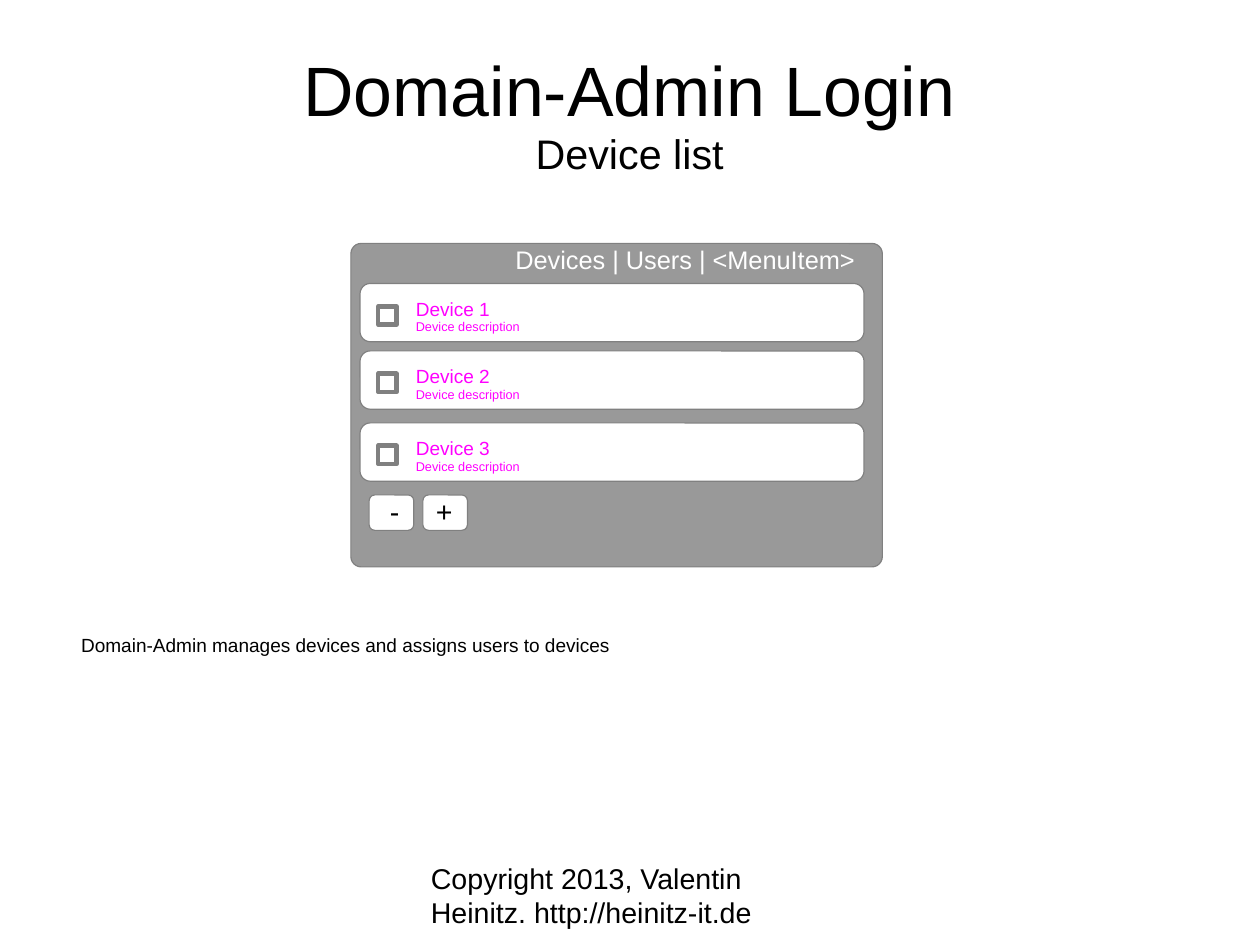
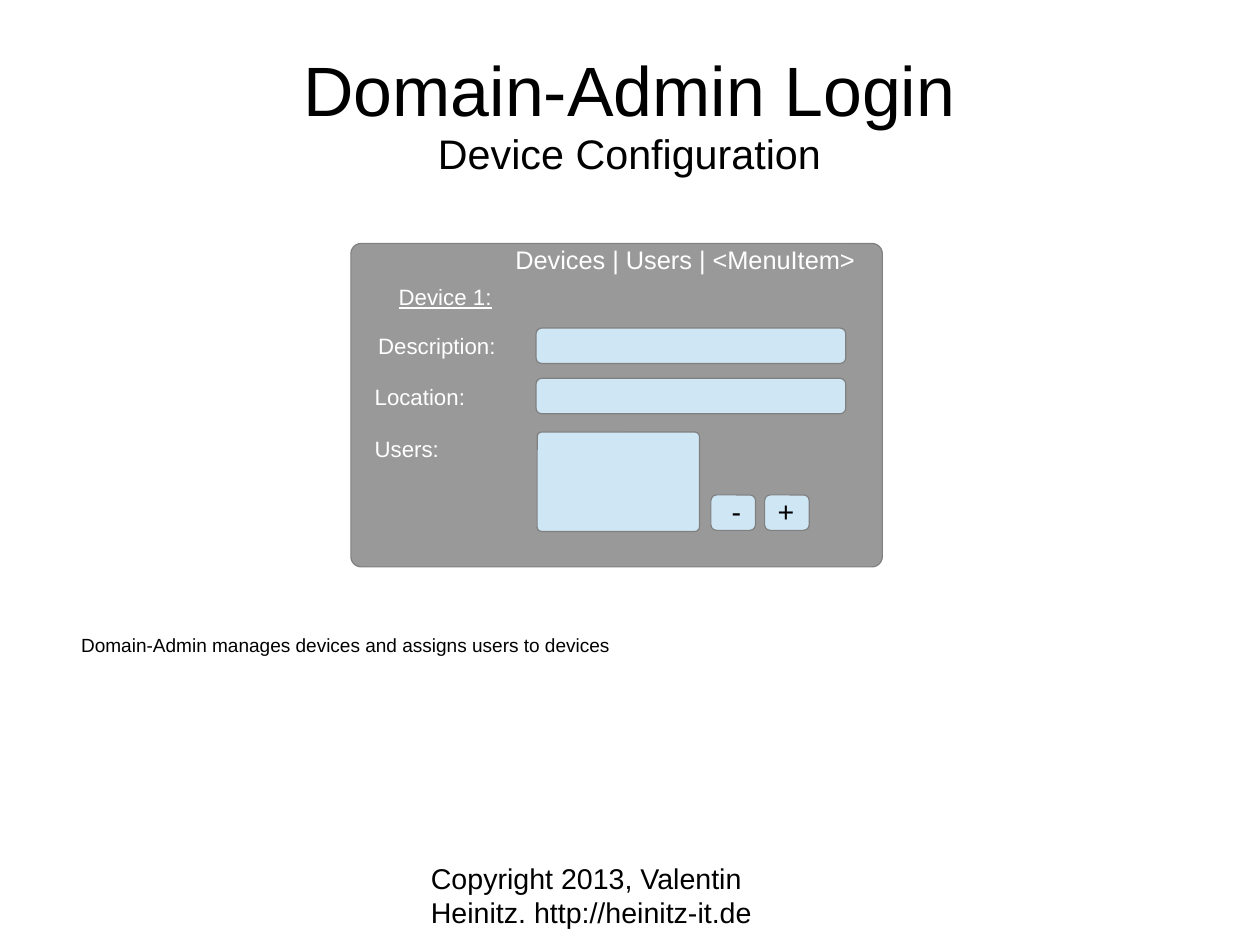
import pptx
import pptx.util
import pptx.dml.color
import pptx.enum.shapes
import pptx.enum.text

Inches, Pt = pptx.util.Inches, pptx.util.Pt
RGBColor = pptx.dml.color.RGBColor
SHAPE = pptx.enum.shapes.MSO_SHAPE
ALIGN = pptx.enum.text.PP_ALIGN
ANCHOR = pptx.enum.text.MSO_ANCHOR

# 28 by 21 cm screen page, in EMU
PAGE_WIDTH = pptx.util.Emu(10080625)
PAGE_HEIGHT = pptx.util.Emu(7559675)

BLACK = RGBColor(0x00, 0x00, 0x00)
WHITE = RGBColor(0xFF, 0xFF, 0xFF)
GREY = RGBColor(0x99, 0x99, 0x99)
EDGE = RGBColor(0x80, 0x80, 0x80)
MAGENTA = RGBColor(0xFF, 0x00, 0xFF)
PALE_BLUE = RGBColor(0xCF, 0xE7, 0xF5)

FONT = "Arial"
NO_INSET = (0, 0, 0, 0)
TEXT_INSET = (0.1, 0.06, 0.1, 0.05)
BUTTON_INSET = (0.1, 0.05, 0.1, 0.05)
CORNER = 0.05
BUTTON_TOP, BUTTON_PITCH = 4.33, 0.47


class Deck:
    def __init__(self):
        self.prs = pptx.Presentation()
        self.prs.slide_width = PAGE_WIDTH
        self.prs.slide_height = PAGE_HEIGHT
        self.s = None

    def set_frame(self, tf, inset, anchor):
        tf.word_wrap = True
        tf.vertical_anchor = anchor
        (tf.margin_left, tf.margin_top,
         tf.margin_right, tf.margin_bottom) = [Inches(v) for v in inset]

    def add_run(self, p, text, size, color, underline=None):
        r = p.add_run()
        r.text = text
        r.font.name = FONT
        r.font.size = Pt(size)
        r.font.color.rgb = color
        r.font.underline = underline

    def text(self, x, y, w, h, lines, color=BLACK, inset=TEXT_INSET,
             spacing=0.93, underline=None):
        """Add a text box with one paragraph for each (text, size) pair."""
        sp = self.s.shapes.add_textbox(Inches(x), Inches(y), Inches(w), Inches(h))
        tf = sp.text_frame
        self.set_frame(tf, inset, ANCHOR.TOP)
        for i, (line, size) in enumerate(lines):
            p = tf.add_paragraph() if i else tf.paragraphs[0]
            p.line_spacing = spacing
            self.add_run(p, line, size, color, underline)

    def title(self, heading, subheading):
        sp = self.s.shapes.add_textbox(Inches(0.55), Inches(0.33),
                                       Inches(9.92), Inches(1.38))
        self.set_frame(sp.text_frame, NO_INSET, ANCHOR.MIDDLE)
        p = sp.text_frame.paragraphs[0]
        p.alignment = ALIGN.CENTER
        p.line_spacing = 0.93
        self.add_run(p, heading, 44, BLACK)
        p.add_line_break()
        self.add_run(p, subheading, 26, BLACK)

    def box(self, x, y, w, h, fill, kind=SHAPE.ROUNDED_RECTANGLE,
            line=0.75, corner=CORNER):
        """Add an outlined box; corner is the radius in inches."""
        sp = self.s.shapes.add_shape(kind, Inches(x), Inches(y),
                                     Inches(w), Inches(h))
        sp.shadow.inherit = False
        sp.fill.solid()
        sp.fill.fore_color.rgb = fill
        sp.line.color.rgb = EDGE
        sp.line.width = Pt(line)
        if kind == SHAPE.ROUNDED_RECTANGLE:
            sp.adjustments[0] = corner / min(w, h)
        return sp

    def buttons(self, x, fill):
        for i, label in enumerate((" -", "+")):
            sp = self.box(x + i * BUTTON_PITCH, BUTTON_TOP, 0.39, 0.31, fill)
            self.set_frame(sp.text_frame, BUTTON_INSET, ANCHOR.MIDDLE)
            p = sp.text_frame.paragraphs[0]
            p.alignment = ALIGN.LEFT
            p.line_spacing = 0.93
            self.add_run(p, label, 18, BLACK)

    def device_row(self, y, name):
        self.box(3.15, y, 4.41, 0.51, WHITE, corner=0.09)
        self.text(3.54, y + 0.08, 2, 0.35,
                  [(name, 12), ("Device description", 8)], MAGENTA)
        self.box(3.31, y + 0.2, 0.16, 0.16, WHITE, SHAPE.RECTANGLE, 2.83)

    def label(self, x, y, text, underline=None):
        self.text(x, y, 1.3, 0.32, [(text, 14)], WHITE, underline=underline)

    def new_screen(self, subheading):
        """Start a slide with the title, panel, menu, caption and footer."""
        self.s = self.prs.slides.add_slide(self.prs.slide_layouts[6])
        self.box(3.07, 2.13, 4.65, 2.83, GREY, corner=0.09)
        self.title("Domain-Admin Login", subheading)
        self.text(0.71, 5.51, 9.92, 0.63,
                  [("Domain-Admin manages devices and assigns users to devices", 12)],
                  inset=(0, 0.03, 0, 0), spacing=1.0)
        self.text(4.41, 2.1, 3.25, 0.35,
                  [("Devices | Users | <MenuItem>", 16)], WHITE)
        self.text(3.77, 7.53, 3.49, 0.57,
                  [("Copyright 2013, Valentin Heinitz. http://heinitz-it.de", 18)],
                  inset=NO_INSET, spacing=1.0)


def device_list(deck):
    deck.new_screen("Device list")
    for number, y in enumerate((2.48, 3.07, 3.7), start=1):
        deck.device_row(y, f"Device {number}")
    deck.buttons(3.23, WHITE)


def device_configuration(deck):
    deck.new_screen("Device Configuration")
    deck.label(3.39, 2.44, "Device 1:", underline=True)
    for x, y, name in ((3.21, 2.87, "Description:"), (3.18, 3.31, "Location:")):
        deck.label(x, y, name)
        deck.box(4.69, y, 2.71, 0.31, PALE_BLUE)
    deck.label(3.18, 3.77, "Users:")
    deck.box(4.7, 3.78, 1.42, 0.87, PALE_BLUE, corner=0.04)
    deck.buttons(6.22, PALE_BLUE)


def main():
    deck = Deck()
    device_list(deck)
    device_configuration(deck)
    deck.prs.save("out.pptx")


if __name__ == "__main__":
    main()
